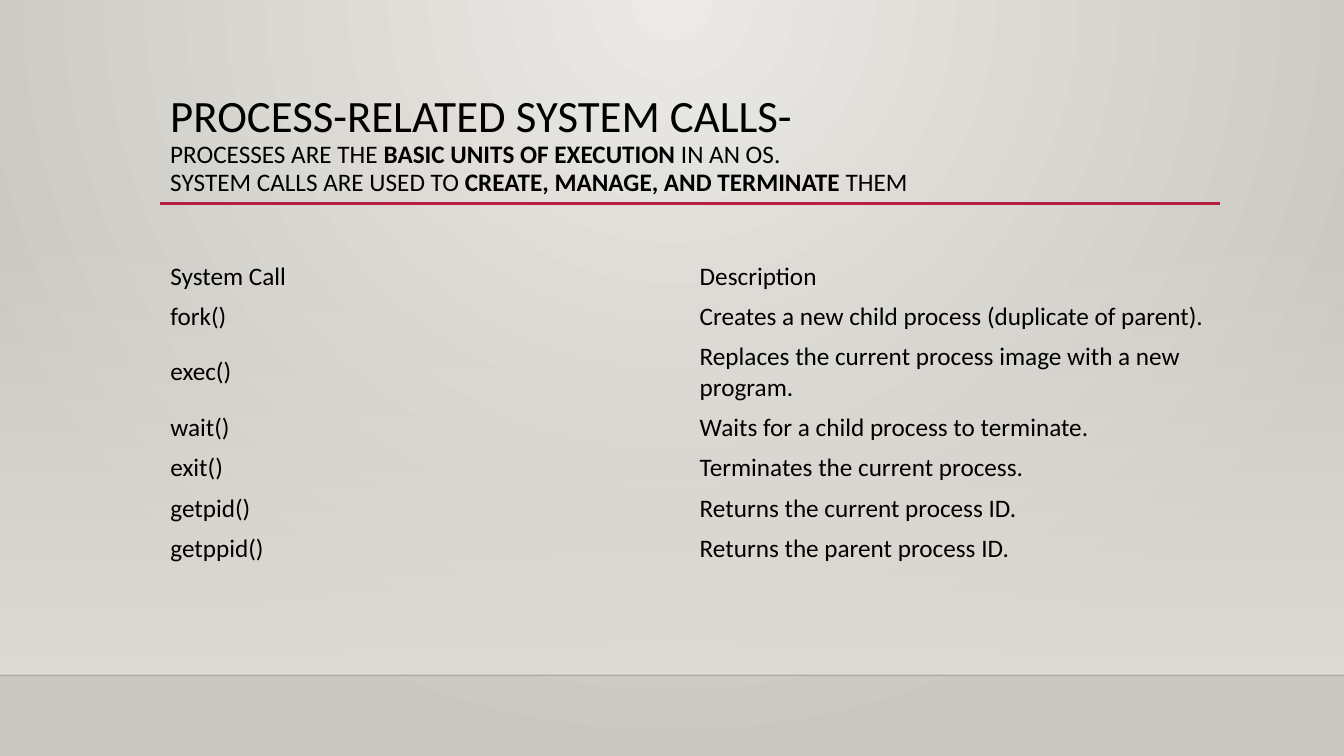
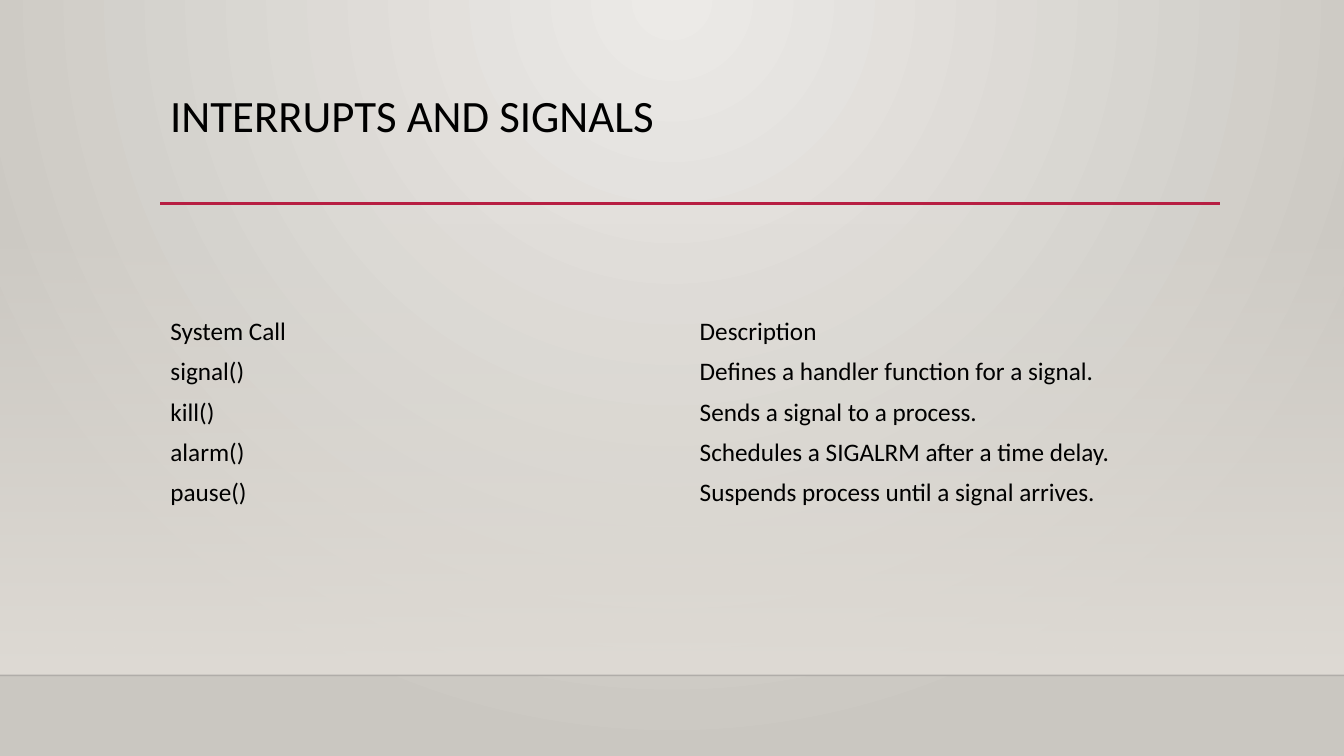
from lxml.etree import SubElement
from pptx import Presentation
from pptx.dml.color import RGBColor
from pptx.enum.shapes import MSO_CONNECTOR, MSO_SHAPE
from pptx.enum.text import MSO_ANCHOR
from pptx.oxml.ns import qn
from pptx.util import Inches, Pt

LEFT, WIDTH = 1.59, 10.5
SLIDE_WIDTH, SLIDE_HEIGHT = 13.33, 7.5
ROW_HEIGHT, TALL_ROW_HEIGHT = 0.4, 0.7
NO_STYLE = "{2D5ABB26-0587-4C30-8999-92F81FD0307C}"
RADIAL_CENTRE = {"l": "43000", "t": "0", "r": "43000", "b": "100000"}

# Title lines are lists of (text, size, bold) runs.
SLIDES = [
    {
        "title": [
            [("PROCESS-RELATED SYSTEM CALLS-", 32, False)],
            [("PROCESSES ARE THE ", 18, False),
             ("BASIC UNITS OF EXECUTION", 18, True),
             (" IN AN OS.", 18, False)],
            [("SYSTEM CALLS ARE USED TO ", 18, False),
             ("CREATE, MANAGE, AND TERMINATE", 18, True),
             (" THEM", 18, False)],
        ],
        "table_top": 2.54,
        "tall_rows": [2],
        "rows": [
            ("System Call", "Description"),
            ("fork()", "Creates a new child process (duplicate of parent)."),
            ("exec()", "Replaces the current process image with a new program."),
            ("wait()", "Waits for a child process to terminate."),
            ("exit()", "Terminates the current process."),
            ("getpid()", "Returns the current process ID."),
            ("getppid()", "Returns the parent process ID."),
        ],
    },
    {
        "title": [[("INTERRUPTS AND SIGNALS", 32, False)]],
        "table_top": 3.09,
        "tall_rows": [],
        "rows": [
            ("System Call", "Description"),
            ("signal()", "Defines a handler function for a signal."),
            ("kill()", "Sends a signal to a process."),
            ("alarm()", "Schedules a SIGALRM after a time delay."),
            ("pause()", "Suspends process until a signal arrives."),
        ],
    },
]


def color(hex_value):
    return RGBColor.from_string(hex_value)


def add_run(paragraph, text, size, bold=False):
    run = paragraph.add_run()
    run.text = text
    font_format = {"name": "Calibri", "size": Pt(size), "bold": bold}
    for name, value in font_format.items():
        setattr(run.font, name, value)
    run.font.color.rgb = color("000000")


presentation = Presentation()
presentation.slide_width = Inches(SLIDE_WIDTH)
presentation.slide_height = Inches(SLIDE_HEIGHT)

for content in SLIDES:
    slide = presentation.slides.add_slide(presentation.slide_layouts[6])

    # Radial background, lightest at the top centre
    background = slide.background.fill
    background.gradient()
    for stop, hex_value in zip(background.gradient_stops, ("ECEAE7", "CAC7C1")):
        stop.color.rgb = color(hex_value)
    gradient = slide.element.find(".//" + qn("a:gradFill"))
    gradient.remove(gradient.find(qn("a:lin")))
    radial = SubElement(gradient, qn("a:path"), path="circle")
    SubElement(radial, qn("a:fillToRect"), RADIAL_CENTRE)

    # Wall fading in from transparent down to the floor line
    wall = slide.shapes.add_shape(
        MSO_SHAPE.RECTANGLE, 0, Inches(2.21), Inches(SLIDE_WIDTH), Inches(4.49))
    wall.shadow.inherit = False
    wall.line.fill.background()
    wall.fill.gradient()
    wall.fill.gradient_angle = 270
    for stop in wall.fill.gradient_stops:
        stop.color.rgb = color("DFDBD5")
    first_color = wall.element.find(".//" + qn("a:gs")).find(qn("a:srgbClr"))
    SubElement(first_color, qn("a:alpha"), val="0")

    # Floor line and title rule
    for start, end, y, hex_value, weight, opacity in (
        (0, SLIDE_WIDTH, 6.7, "000001", 1, 20),
        (LEFT, 12.1, 2.02, "B71E42", 2.5, 100),
    ):
        line = slide.shapes.add_connector(
            MSO_CONNECTOR.STRAIGHT, Inches(start), Inches(y), Inches(end), Inches(y))
        line.line.color.rgb = color(hex_value)
        line.line.width = Pt(weight)
        properties = line.element.spPr
        line_color = properties.find(".//" + qn("a:srgbClr"))
        SubElement(line_color, qn("a:alpha"), val=str(opacity * 1000))
        SubElement(properties, qn("a:effectLst"))

    title = slide.shapes.add_textbox(
        Inches(LEFT), Inches(0.88), Inches(WIDTH), Inches(1.15))
    title.text_frame.word_wrap = True
    paragraph = title.text_frame.paragraphs[0]
    paragraph.line_spacing = 0.9
    for index, title_line in enumerate(content["title"]):
        if index:
            paragraph.add_line_break()
        for text, size, bold in title_line:
            add_run(paragraph, text, size, bold)

    rows = content["rows"]
    heights = [TALL_ROW_HEIGHT if index in content["tall_rows"] else ROW_HEIGHT
               for index in range(len(rows))]
    frame = slide.shapes.add_table(
        len(rows), 2, Inches(LEFT), Inches(content["table_top"]),
        Inches(WIDTH), Inches(sum(heights)))
    table = frame.table
    table.first_row = table.horz_banding = False
    frame.element.find(".//" + qn("a:tableStyleId")).text = NO_STYLE
    for row, height, texts in zip(table.rows, heights, rows):
        row.height = Inches(height)
        for cell, text in zip(row.cells, texts):
            cell.fill.background()
            cell.vertical_anchor = MSO_ANCHOR.MIDDLE
            add_run(cell.text_frame.paragraphs[0], text, 18)

presentation.save("out.pptx")
